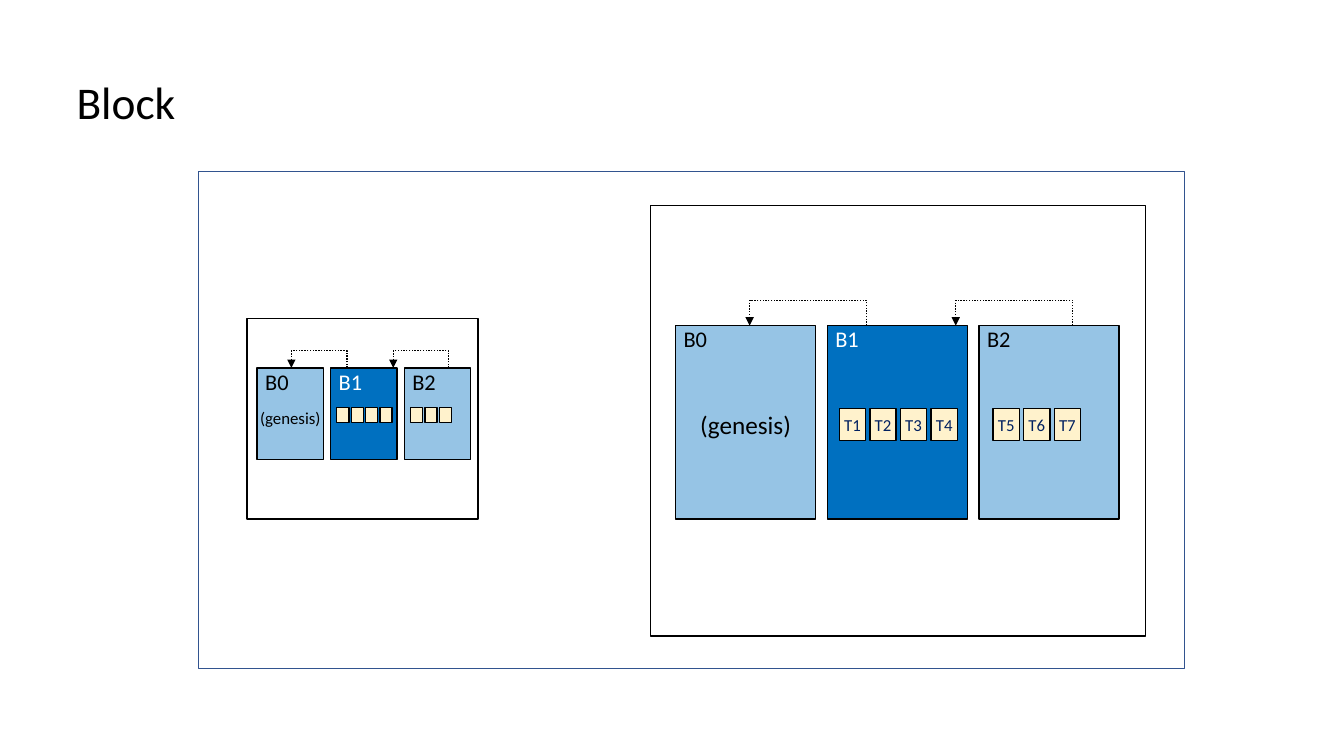
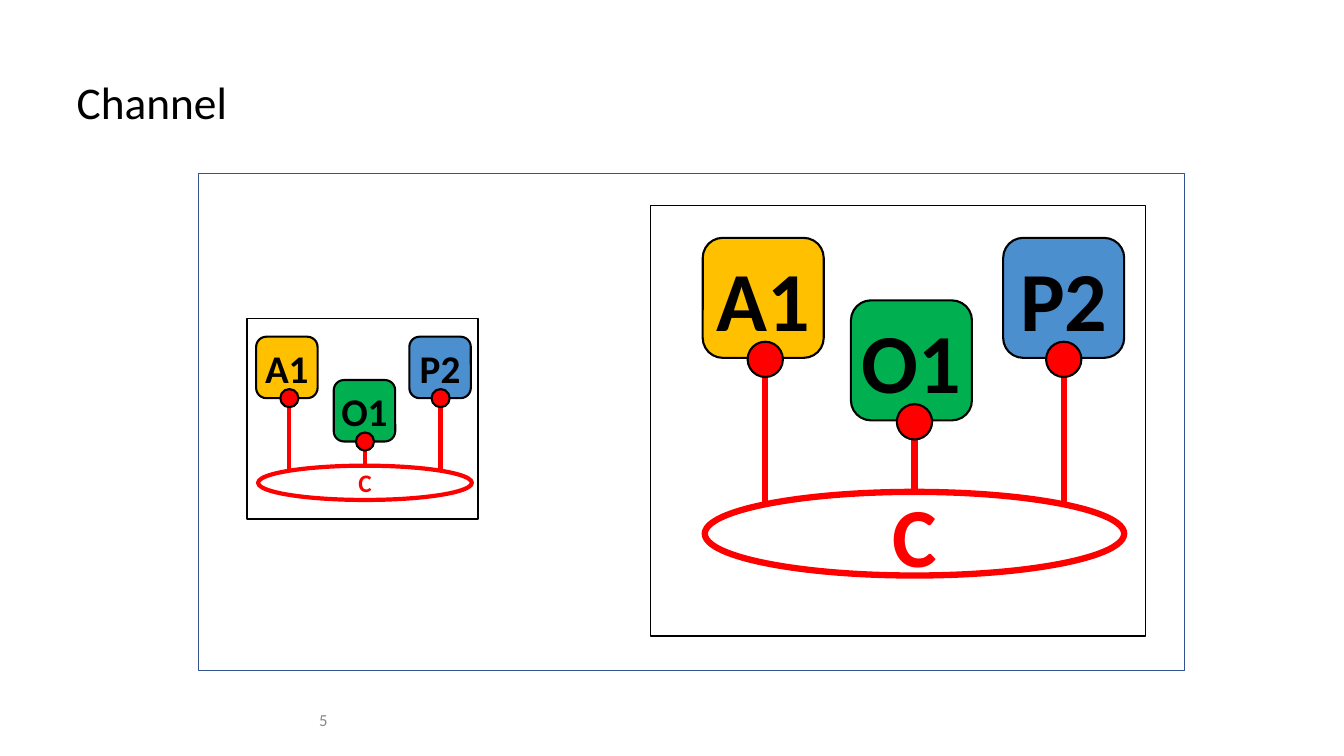
from dataclasses import dataclass

import lxml.etree
import pptx
import pptx.dml.color
import pptx.enum.dml
import pptx.enum.shapes
import pptx.enum.text
import pptx.oxml.ns
import pptx.shapes.autoshape
import pptx.slide
import pptx.util

Inches = pptx.util.Inches
Pt = pptx.util.Pt
qn = pptx.oxml.ns.qn
Slide = pptx.slide.Slide
Shape = pptx.shapes.autoshape.Shape
MSO_SHAPE = pptx.enum.shapes.MSO_SHAPE
PP_ALIGN = pptx.enum.text.PP_ALIGN
MSO_ANCHOR = pptx.enum.text.MSO_ANCHOR

FONT = "Calibri"
BLACK = "000000"
WHITE = "FFFFFF"
GREY = "888888"
FRAME_BLUE = "32538F"
BLOCK_BLUE = "0070C0"
PALE_ALPHA = 41
TX_FILL = "FFF2CC"
TX_TEXT = "002060"
RED = "FF0000"


@dataclass(frozen=True)
class Box:
    left: float
    top: float
    width: float
    height: float


@dataclass(frozen=True)
class Block:
    name: str
    transactions: tuple[str, ...] = ()
    highlighted: bool = False


@dataclass(frozen=True)
class ChainView:
    """Sizes of one drawing of the chain; offsets count from a block's corner."""
    area: Box
    block_width: float
    genesis_size: float
    genesis_top: float
    genesis_side: float
    tx_offsets: tuple[float, float, float]
    tx_top: float
    tx_width: float
    tx_height: float
    tx_span: float
    tx_named: bool
    link_offsets: tuple[float, float, float]
    link_run: float
    link_rise: float


@dataclass(frozen=True)
class Node:
    name: str
    fill: str


@dataclass(frozen=True)
class ChannelView:
    """Sizes of one drawing of the channel and the nodes joined to it."""
    ring: Box
    node_corners: tuple[tuple[float, float], ...]
    node_width: float
    node_height: float
    dot_size: float
    dot_pitch: float
    dot_drop: float
    link_ends: tuple[float, ...]
    line_width: float
    node_text: float
    ring_text: float


SMALL_FRAME = Box(2.45, 3.16, 2.29, 1.99)
LARGE_FRAME = Box(6.45, 2.04, 4.91, 4.27)

BLOCKS = (
    Block("B0"),
    Block("B1", ("T1", "T2", "T3", "T4"), True),
    Block("B2", ("T5", "T6", "T7")),
)
CHAIN_VIEWS = (
    ChainView(Box(2.55, 3.65, 2.12, 0.91), 0.66, 12, 0.39, 0,
              (0, 0.06, 0.06), 0.39, 0.12, 0.15, 0.43, False,
              (0, 0.16, 0.44), 0.55, 0.17),
    ChainView(Box(6.7, 3.23, 4.4, 1.92), 1.39, 18, 0.83, 0.05,
              (0, 0.12, 0.14), 0.82, 0.26, 0.32, 0.91, True,
              (0, 0.39, 0.93), 1.16, 0.25),
)

NODES = (Node("A1", "FFC000"), Node("O1", "00B050"), Node("P2", "4C8FCF"))
CHANNEL_VIEWS = (
    ChannelView(Box(2.56, 4.62, 2.12, 0.34),
                ((2.54, 3.34), (3.31, 3.77), (4.06, 3.34)), 0.61, 0.61,
                0.18, 0.75, 0.52, (4.67, 4.62, 4.67), 3, 28, 18),
    ChannelView(Box(6.99, 4.88, 4.16, 0.83),
                ((6.97, 2.36), (8.44, 2.98), (9.95, 2.36)), 1.2, 1.19,
                0.35, 1.48, 1.03, (5, 4.88, 5), 4.5, 60, 60),
)


def rgb(colour: str) -> pptx.dml.color.RGBColor:
    return pptx.dml.color.RGBColor.from_string(colour)


def set_text(s: Shape, text: str, size: float, colour: str = BLACK,
             align: PP_ALIGN = PP_ALIGN.LEFT, anchor: MSO_ANCHOR = MSO_ANCHOR.TOP,
             insets: tuple[float, float, float, float] = (0, 0, 0, 0),
             bold: bool = False, wrap: bool = True) -> None:
    """Fill a shape with one line; insets run left, top, right, bottom."""
    tf = s.text_frame
    tf.text = text
    tf.word_wrap = wrap
    tf.vertical_anchor = anchor
    tf.margin_left, tf.margin_top, tf.margin_right, tf.margin_bottom = map(Inches, insets)
    p = tf.paragraphs[0]
    p.alignment = align
    font = p.runs[0].font
    font.name, font.size, font.bold = FONT, Pt(size), bold
    font.color.rgb = rgb(colour)


def add_label(slide: Slide, box: Box) -> Shape:
    return slide.shapes.add_textbox(Inches(box.left), Inches(box.top),
                                    Inches(box.width), Inches(box.height))


def set_line(s: Shape, colour: str, width: float) -> None:
    s.line.color.rgb = rgb(colour)
    s.line.width = Pt(width)


def add_box(slide: Slide, box: Box, fill: str | None = None, line: str = BLACK,
            line_width: float = 1, kind: MSO_SHAPE = MSO_SHAPE.RECTANGLE,
            alpha: int = 100) -> Shape:
    s = slide.shapes.add_shape(kind, Inches(box.left), Inches(box.top),
                               Inches(box.width), Inches(box.height))
    s.shadow.inherit = False
    set_line(s, line, line_width)
    if fill is None:
        s.fill.background()
        return s
    s.fill.solid()
    s.fill.fore_color.rgb = rgb(fill)
    if alpha < 100:
        clr = s._element.spPr.find(f"{qn('a:solidFill')}/{qn('a:srgbClr')}")
        lxml.etree.SubElement(clr, qn("a:alpha"), val=str(alpha * 1000))
    return s


def add_back_link(slide: Slide, start: float, top: float, run: float, rise: float) -> None:
    """Dotted arrow up, left and down onto the previous block."""
    points = ((start, top), (start, top - rise), (start - run, top - rise), (start - run, top))
    first, *rest = [(Inches(x), Inches(y)) for x, y in points]
    builder = slide.shapes.build_freeform(*first)
    builder.add_line_segments(rest, close=False)
    s = builder.convert_to_shape()
    s.shadow.inherit = False
    s.fill.background()
    set_line(s, BLACK, 1)
    s.line.dash_style = pptx.enum.dml.MSO_LINE.ROUND_DOT
    lxml.etree.SubElement(s.line._get_or_add_ln(), qn("a:tailEnd"), type="triangle")


def add_link(slide: Slide, x: float, top: float, bottom: float, width: float) -> None:
    s = slide.shapes.add_connector(pptx.enum.shapes.MSO_CONNECTOR.STRAIGHT,
                                   Inches(x), Inches(top), Inches(x), Inches(bottom))
    set_line(s, RED, width)
    lxml.etree.SubElement(s._element.spPr, qn("a:effectLst"))


def add_base(prs: pptx.presentation.Presentation, title: str, frame_top: float) -> Slide:
    """New slide with its title and the three frames."""
    slide = prs.slides.add_slide(prs.slide_layouts[6])
    s = add_label(slide, Box(0.76, 0.8, 11.81, 0.54))
    set_text(s, title, 32.4)
    s.text_frame.paragraphs[0].line_spacing = 0.9
    add_box(slide, Box(1.97, frame_top, 9.78, 4.93), line=FRAME_BLUE)
    for frame in (SMALL_FRAME, LARGE_FRAME):
        add_box(slide, frame)
    return slide


def draw_chain(slide: Slide, view: ChainView) -> None:
    area = view.area
    pitch = (area.width - view.block_width) / (len(BLOCKS) - 1)
    tx_pitch = view.tx_span / 3
    for i, block in enumerate(BLOCKS):
        left = area.left + i * pitch
        s = add_box(slide, Box(left, area.top, view.block_width, area.height), BLOCK_BLUE,
                    alpha=100 if block.highlighted else PALE_ALPHA)
        if i == 0:
            set_text(s, "(genesis)", view.genesis_size, align=PP_ALIGN.CENTER,
                     insets=(view.genesis_side, view.genesis_top, view.genesis_side, 0.05))
        else:
            add_back_link(slide, left + view.link_offsets[i], area.top,
                          view.link_run, view.link_rise)
        label = add_label(slide, Box(left, area.top, view.block_width, 0.27))
        set_text(label, block.name, 16, WHITE if block.highlighted else BLACK,
                 insets=(0.08, 0, 0, 0))
        for j, name in enumerate(block.transactions):
            tx = add_box(slide, Box(left + view.tx_offsets[i] + j * tx_pitch,
                                    area.top + view.tx_top,
                                    view.tx_width, view.tx_height), TX_FILL)
            if view.tx_named:
                set_text(tx, name, 12, TX_TEXT, PP_ALIGN.CENTER, MSO_ANCHOR.MIDDLE)


def draw_channel(slide: Slide, view: ChannelView) -> None:
    ring = view.ring
    centre = ring.left + ring.width / 2
    for i, (node, (left, top)) in enumerate(zip(NODES, view.node_corners)):
        x = centre + (i - 1) * view.dot_pitch
        dot_top = top + view.dot_drop
        add_link(slide, x, dot_top + view.dot_size, view.link_ends[i], view.line_width)
        s = add_box(slide, Box(left, top, view.node_width, view.node_height), node.fill,
                    line_width=1.5, kind=MSO_SHAPE.ROUNDED_RECTANGLE)
        set_text(s, node.name, view.node_text, align=PP_ALIGN.CENTER,
                 anchor=MSO_ANCHOR.MIDDLE, insets=(0.05,) * 4, bold=True, wrap=False)
        add_box(slide, Box(x - view.dot_size / 2, dot_top, view.dot_size, view.dot_size),
                RED, line_width=1.5, kind=MSO_SHAPE.OVAL)
    s = add_box(slide, ring, line=RED, line_width=view.line_width, kind=MSO_SHAPE.OVAL)
    set_text(s, "C", view.ring_text, RED, PP_ALIGN.CENTER, MSO_ANCHOR.MIDDLE,
             (0.1, 0.05, 0.1, 0.05), bold=True)


def main() -> None:
    prs = pptx.Presentation()
    prs.slide_width, prs.slide_height = Inches(13.33), Inches(7.5)

    slide = add_base(prs, "Block", 1.7)
    for view in CHAIN_VIEWS:
        draw_chain(slide, view)

    slide = add_base(prs, "Channel", 1.72)
    for view in CHANNEL_VIEWS:
        draw_channel(slide, view)
    number = add_label(slide, Box(3.1, 7, 0.2, 0.29))
    set_text(number, "5", 12, GREY, PP_ALIGN.RIGHT, MSO_ANCHOR.MIDDLE, (0.05,) * 4)

    prs.save("out.pptx")


if __name__ == "__main__":
    main()
